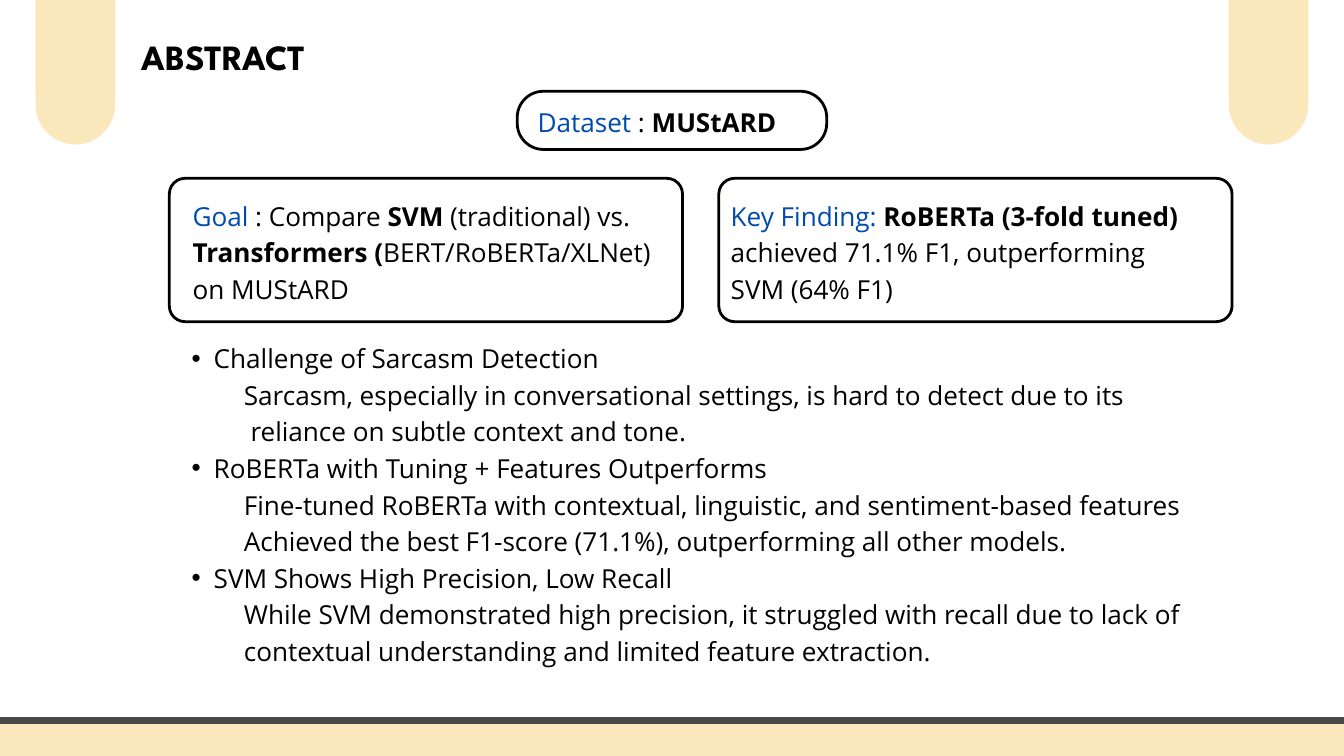
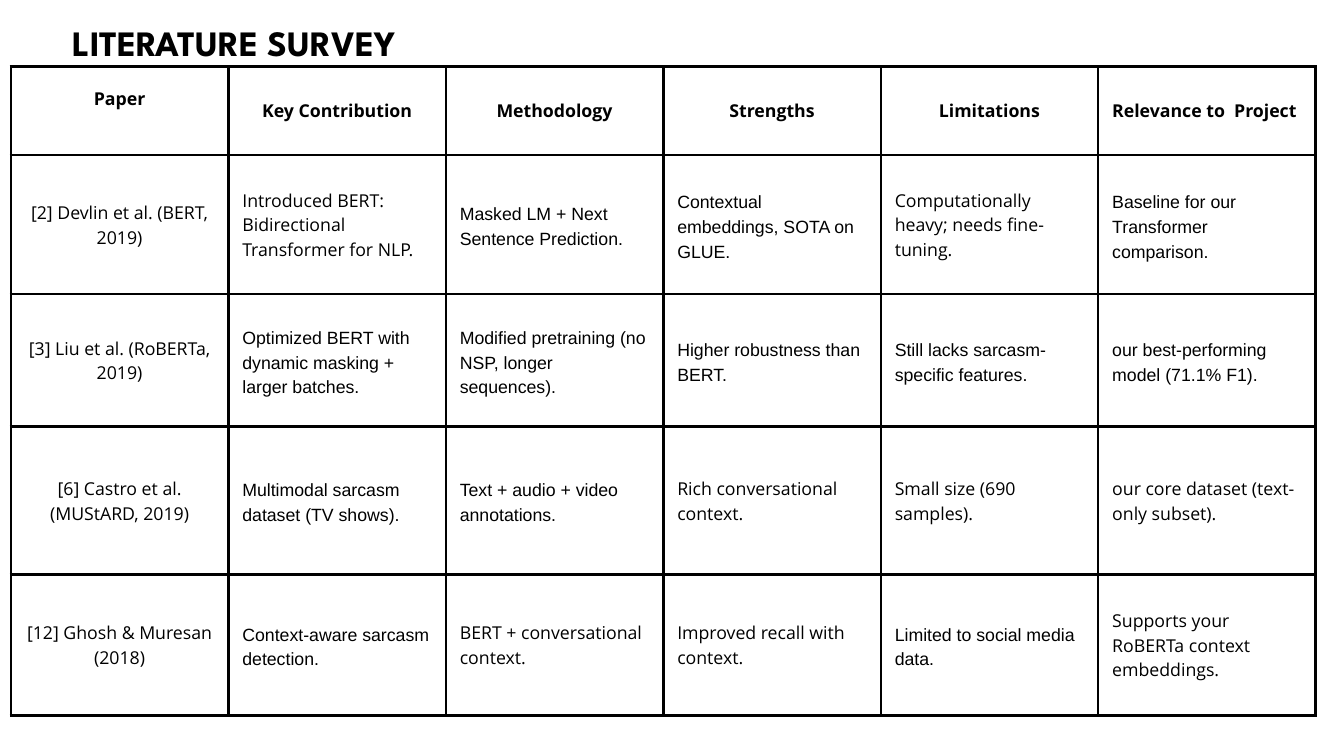
import pptx
import pptx.util
import pptx.dml.color
import pptx.enum.shapes
import pptx.enum.text
import pptx.oxml
import pptx.oxml.ns

Cm, Pt = pptx.util.Cm, pptx.util.Pt
SHAPE = pptx.enum.shapes.MSO_SHAPE
ALIGN = pptx.enum.text.PP_ALIGN
MIDDLE = pptx.enum.text.MSO_ANCHOR.MIDDLE

# Shared look
COLORS = {"ink": "000000", "paper": "FFFFFF", "accent": "004AAD",
          "cream": "FAE7BC", "rule": "494848"}
HEAD, BODY, PLAIN = "League Spartan", "Open Sans", "Arial"
WIDTH, HEIGHT = 50.8, 28.575

# Abstract: boxes are (shape place, corner, text place, runs of (text, colour, bold))
BOXES = [
    ((19.55, 3.45, 11.7, 2.2), 0.45, (20.32, 3.84, 10.16, 1.3),
     [("Dataset", "accent", False), (" : ", "ink", False), ("MUStARD", "ink", True)]),
    ((6.4, 6.74, 19.4, 5.42), 0.11, (7.28, 7.37, 17.52, 4.04),
     [("Goal ", "accent", False), (": Compare ", "ink", False), ("SVM ", "ink", True),
      ("(traditional) vs. ", "ink", False), ("Transformers (", "ink", True),
      ("BERT/RoBERTa/XLNet) on MUStARD", "ink", False)]),
    ((27.17, 6.74, 19.4, 5.42), 0.11, (27.62, 7.37, 17.52, 4.04),
     [("Key Finding: ", "accent", False), ("RoBERTa (3-fold tuned)", "ink", True),
      (" achieved 71.1% F1, outperforming SVM (64% F1)", "ink", False)]),
]
# Each point: heading, then lines of (indent in cm, text)
POINTS = [
    ("Challenge of Sarcasm Detection",
     [(2.82, "Sarcasm, especially in conversational settings, is hard to detect due to its"),
      (3.07, "reliance on subtle context and tone.")]),
    ("RoBERTa with Tuning + Features Outperforms",
     [(2.82, "Fine-tuned RoBERTa with contextual, linguistic, and sentiment-based features"),
      (2.82, "Achieved the best F1-score (71.1%), outperforming all other models.")]),
    ("SVM Shows High Precision, Low Recall",
     [(2.82, "While SVM demonstrated high precision, it struggled with recall due to lack of"),
      (2.82, "contextual understanding and limited feature extraction.")]),
]

# Literature survey: row height, fonts by column (O = BODY, A = PLAIN), cells
SURVEY = [
    (3.35, "OOOOOO", ["Paper", "Key Contribution", "Methodology", "Strengths",
                      "Limitations", "Relevance to  Project"]),
    (5.26, "OOAAOA", ["[2] Devlin et al. (BERT, 2019)",
                      "Introduced BERT: Bidirectional Transformer for NLP.",
                      "Masked LM + Next Sentence Prediction.",
                      "Contextual embeddings, SOTA on GLUE.",
                      "Computationally heavy; needs fine-tuning.",
                      "Baseline for our Transformer comparison."]),
    (5.0, "OAAAAA", ["[3] Liu et al. (RoBERTa, 2019)",
                     "Optimized BERT with dynamic masking + larger batches.",
                     "Modified pretraining (no NSP, longer sequences).",
                     "Higher robustness than BERT.",
                     "Still lacks sarcasm-specific features.",
                     "our best-performing model (71.1% F1)."]),
    (5.59, "OAAOOO", ["[6] Castro et al. (MUStARD, 2019)",
                      "Multimodal sarcasm dataset (TV shows).",
                      "Text + audio + video annotations.",
                      "Rich conversational context.",
                      "Small size (690 samples).",
                      "our core dataset (text-only subset)."]),
    (5.33, "OAOOAO", ["[12] Ghosh & Muresan (2018)",
                      "Context-aware sarcasm detection.",
                      "BERT + conversational context.",
                      "Improved recall with context.",
                      "Limited to social media data.",
                      "Supports your RoBERTa context embeddings."]),
]
COLUMN_WIDTH, CELL_INSET = 8.22, 0.53


def rgb(name):
    return pptx.dml.color.RGBColor.from_string(COLORS[name])


def apply(target, values):
    for name, value in values.items():
        setattr(target, name, value)


def xml(tag, body="", attrs=""):
    return pptx.oxml.parse_xml(
        f'<a:{tag} {pptx.oxml.ns.nsdecls("a")} {attrs}>{body}</a:{tag}>')


def new_slide(prs):
    s = prs.slides.add_slide(prs.slide_layouts[6])
    s.background.fill.solid()
    s.background.fill.fore_color.rgb = rgb("paper")
    return s


def add_box(s, kind, place, fill, corners, line=None):
    sp = s.shapes.add_shape(kind, *map(Cm, place))
    sp.shadow.inherit = False
    sp.fill.solid()
    sp.fill.fore_color.rgb = rgb(fill)
    for i, corner in enumerate(corners):
        sp.adjustments[i] = corner
    if line:
        sp.line.color.rgb = rgb(line)
        sp.line.width = Pt(3)
    else:
        sp.line.fill.background()


def text_frame(s, place):
    tf = s.shapes.add_textbox(*map(Cm, place)).text_frame
    apply(tf, {"word_wrap": True, "margin_left": 0, "margin_right": 0,
               "margin_top": 0, "margin_bottom": 0})
    return tf


def write(p, runs, size, font=BODY, align=ALIGN.LEFT):
    apply(p, {"alignment": align, "line_spacing": Pt(round(size * 1.4, 1))})
    for text, color, bold in runs:
        r = p.add_run()
        r.text = text
        apply(r.font, {"size": Pt(size), "name": font, "bold": bold})
        r.font.color.rgb = rgb(color)


def add_title(s, text, place, size):
    p = text_frame(s, place).paragraphs[0]
    write(p, [(text, "ink", True)], size, HEAD, ALIGN.CENTER)


def add_decor(s):
    # Hanging tabs and footer band
    tab_w, margin = 3.0, 1.35
    for left in (margin, WIDTH - margin - tab_w):
        add_box(s, SHAPE.ROUND_2_SAME_RECTANGLE, (left, 0, tab_w, 5.46), "cream", (0, 0.5))
    top = 27.23
    add_box(s, SHAPE.RECTANGLE, (0, top, WIDTH, HEIGHT - top), "cream", ())
    rule = s.shapes.add_connector(pptx.enum.shapes.MSO_CONNECTOR.STRAIGHT,
                                  0, Cm(top), Cm(WIDTH), Cm(top))
    rule.line.color.rgb = rgb("rule")
    rule.line.width = Pt(6.75)
    rule._element.spPr.append(xml("effectLst"))


def add_points(s):
    tf = text_frame(s, (6.4, 12.75, 39.57, 13.72))
    lines = [line for heading, details in POINTS
             for line in [(None, heading)] + details]
    for i, (indent, text) in enumerate(lines):
        p = tf.add_paragraph() if i else tf.paragraphs[0]
        write(p, [(text, "ink", False)], 28)
        pPr = p._p.get_or_add_pPr()
        if indent is None:
            pPr.set("marL", str(Cm(1.68)))
            pPr.set("indent", str(-Cm(0.84)))
            pPr.append(xml("buFont", attrs='typeface="Arial"'))
            pPr.append(xml("buChar", attrs='char="•"'))
        else:
            pPr.set("marL", str(Cm(indent)))
            pPr.set("indent", "0")


def add_borders(cell):
    fill = f'<a:solidFill><a:srgbClr val="{COLORS["ink"]}"/></a:solidFill>'
    tcPr = cell._tc.get_or_add_tcPr()
    for i, side in enumerate("LRTB"):
        tcPr.insert(i, xml("ln" + side, fill, f'w="{Pt(3)}"'))


def add_survey(s):
    cols = len(SURVEY[0][2])
    place = (0.41, 2.51, COLUMN_WIDTH * cols, sum(row[0] for row in SURVEY))
    table = s.shapes.add_table(len(SURVEY), cols, *map(Cm, place)).table
    apply(table, {"first_row": False, "horz_banding": False})
    for column in table.columns:
        column.width = Cm(COLUMN_WIDTH)
    for y, (height, fonts, texts) in enumerate(SURVEY):
        table.rows[y].height = Cm(height)
        for x, (code, text) in enumerate(zip(fonts, texts)):
            cell = table.cell(y, x)
            centred = x == 0 or (y == 0 and x < cols - 1)
            apply(cell, {"vertical_anchor": MIDDLE} | {
                f"margin_{side}": Cm(CELL_INSET)
                for side in ("left", "right", "top", "bottom")})
            write(cell.text_frame.paragraphs[0], [(text, "ink", y == 0)], 19,
                  BODY if code == "O" else PLAIN,
                  ALIGN.CENTER if centred else ALIGN.LEFT)
            cell.fill.background()
            add_borders(cell)
    # The first heading sits a little higher than the others
    table.cell(0, 0).margin_bottom = Cm(CELL_INSET + 0.95)


def main():
    prs = pptx.Presentation()
    apply(prs, {"slide_width": Cm(WIDTH), "slide_height": Cm(HEIGHT)})

    # Abstract
    s = new_slide(prs)
    add_title(s, "ABSTRACT", (0.46, 1.07, 16, 1.8), 38)
    add_decor(s)
    for place, corner, text_place, runs in BOXES:
        add_box(s, SHAPE.ROUNDED_RECTANGLE, place, "paper", (corner,), "ink")
        write(text_frame(s, text_place).paragraphs[0], runs, 28)
    add_points(s)

    # Literature survey
    s = new_slide(prs)
    add_survey(s)
    add_title(s, "LITERATURE SURVEY", (1.4, 0.53, 14.91, 3.76), 38.2)

    prs.save("out.pptx")


if __name__ == "__main__":
    main()
